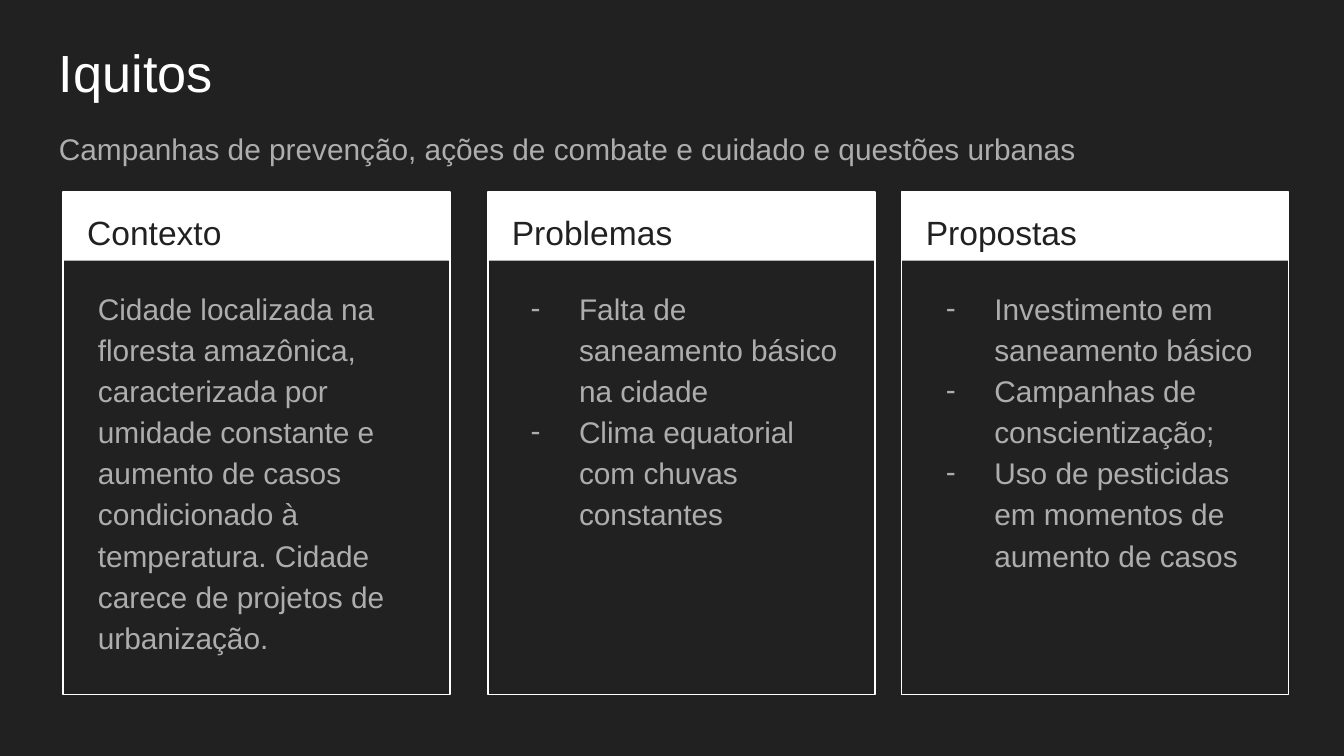
from lxml.etree import SubElement
from pptx import Presentation
from pptx.dml.color import RGBColor
from pptx.enum.shapes import MSO_SHAPE as Shape
from pptx.enum.text import MSO_ANCHOR as Anchor
from pptx.oxml.ns import qn
from pptx.util import Inches, Pt

DARK = RGBColor(0x21, 0x21, 0x21)
WHITE = RGBColor(0xFF, 0xFF, 0xFF)
GRAY = RGBColor(0xAD, 0xAD, 0xAD)
FONT = "Arial"

CARD_TOP, CARD_WIDTH, CARD_HEIGHT = 1.43, 2.88, 3.74
HEADER_HEIGHT = 0.51

# Card left edge, offset of its body text, heading, paragraphs, bulleted
CARDS = [
    (0.47, 0.16, "Contexto",
     ["Cidade localizada na floresta amazônica, caracterizada por umidade "
      "constante e aumento de casos condicionado à temperatura. Cidade carece "
      "de projetos de urbanização."], False),
    (3.63, 0.08, "Problemas",
     ["Falta de saneamento básico na cidade",
      "Clima equatorial com chuvas constantes"], True),
    (6.71, 0.09, "Propostas",
     ["Investimento em saneamento básico",
      "Campanhas de conscientização;",
      "Uso de pesticidas em momentos de aumento de casos"], True),
]


def add_dash(paragraph, size):
    properties = paragraph._p.get_or_add_pPr()
    properties.set("marL", str(Inches(0.5)))
    properties.set("indent", str(Inches(-0.36)))
    color = SubElement(properties, qn("a:buClr"))
    SubElement(color, qn("a:srgbClr"), val=str(GRAY))
    SubElement(properties, qn("a:buSzPts"), val=str(size * 100))
    SubElement(properties, qn("a:buFont"), typeface=FONT)
    SubElement(properties, qn("a:buChar"), char="-")


def add_text(slide, box, lines, size=16, color=GRAY, spacing=1.15,
             bulleted=False):
    text_box = slide.shapes.add_textbox(*map(Inches, box))
    frame = text_box.text_frame
    frame.word_wrap = True
    frame.vertical_anchor = Anchor.TOP
    frame.margin_left = frame.margin_right = Inches(0.1)
    frame.margin_top = frame.margin_bottom = Inches(0.1)
    for index, line in enumerate(lines):
        paragraph = frame.add_paragraph() if index else frame.paragraphs[0]
        paragraph.line_spacing = spacing
        if bulleted:
            add_dash(paragraph, size)
        run = paragraph.add_run()
        run.text = line
        run.font.name = FONT
        run.font.size = Pt(size)
        run.font.color.rgb = color


def add_rectangle(slide, box, fill=None, line=None):
    rectangle = slide.shapes.add_shape(Shape.RECTANGLE, *map(Inches, box))
    rectangle.shadow.inherit = False
    if fill is None:
        rectangle.fill.background()
    else:
        rectangle.fill.solid()
        rectangle.fill.fore_color.rgb = fill
    if line is None:
        rectangle.line.fill.background()
    else:
        rectangle.line.color.rgb = line
        rectangle.line.width = Pt(0.75)


def add_heading(slide, left, top, width):
    # Title and subtitle
    add_text(slide, (left, top, width, 0.63), ["Iquitos"], size=28,
             color=WHITE, spacing=1.0)
    add_text(slide, (left, top + 0.63, width, 0.32),
             ["Campanhas de prevenção, ações de combate e cuidado e questões urbanas"])


def add_card(slide, box, body_offset, heading, lines, bulleted):
    left, top, width, height = box
    # Header band and outline
    add_rectangle(slide, (left, top, width, HEADER_HEIGHT), fill=WHITE)
    add_rectangle(slide, box, line=WHITE)
    # Heading and body
    add_text(slide, (left + 0.08, top, 2.73, 0.5), [heading], size=18, color=DARK)
    add_text(slide, (left + body_offset, top + 0.59, 2.71, 3.06), lines,
             bulleted=bulleted)


def main():
    presentation = Presentation()
    presentation.slide_width = Inches(10)
    presentation.slide_height = Inches(10) * 9 // 16
    slide = presentation.slides.add_slide(presentation.slide_layouts[6])
    slide.background.fill.solid()
    slide.background.fill.fore_color.rgb = DARK

    add_heading(slide, 0.34, 0.2, 9.32)
    for left, *content in CARDS:
        add_card(slide, (left, CARD_TOP, CARD_WIDTH, CARD_HEIGHT), *content)
    presentation.save("out.pptx")


if __name__ == "__main__":
    main()
